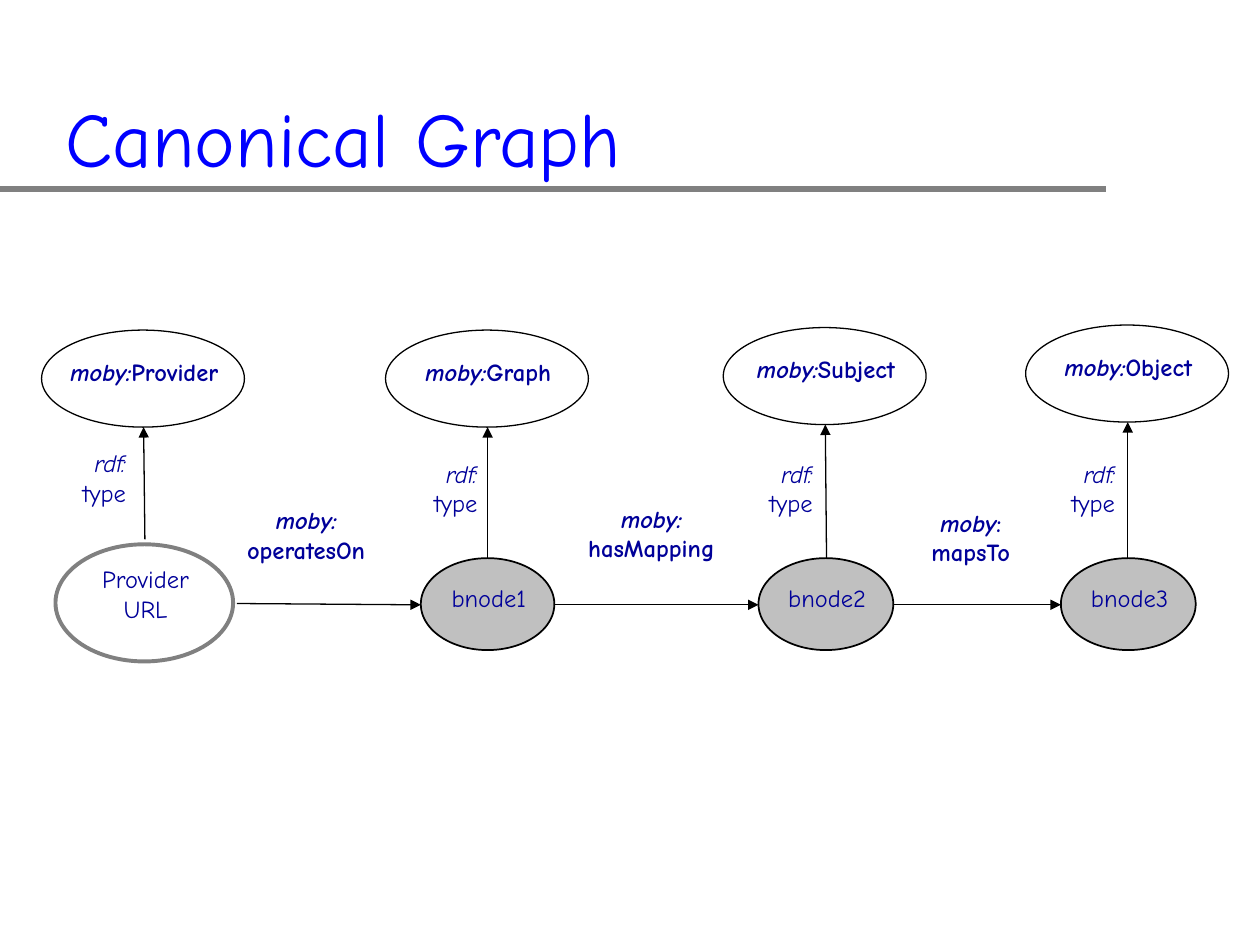
"""Build the Canonical Graph slide: four nodes, their RDF types and the links between them."""
from lxml.etree import SubElement
from pptx import Presentation
from pptx.dml.color import RGBColor
from pptx.enum.shapes import MSO_CONNECTOR, MSO_SHAPE
from pptx.enum.text import MSO_ANCHOR, PP_ALIGN
from pptx.oxml.ns import qn
from pptx.util import Inches, Pt

COLORS = {
    "title": "0000FF",
    "label": "000099",
    "rule": "808080",
    "ink": "000000",
    "blank": "C0C0C0",
    "paper": "FFFFFF",
}
RGB = {role: RGBColor.from_string(value) for role, value in COLORS.items()}

deck = Presentation()
deck.slide_width, deck.slide_height = Inches(10), Inches(7.5)
COL, ROW = deck.slide_width / 100, deck.slide_height / 75
slide = deck.slides.add_slide(deck.slide_layouts[6])


def write(text, left, top, width, height, size=14, color="label", bold=False,
          align=PP_ALIGN.CENTER, anchor=MSO_ANCHOR.TOP, inset=(0, 0)):
    """Add a text box; in each line the part before a bar is italic."""
    frame = slide.shapes.add_textbox(
        int(left * COL), int(top * ROW), int(width * COL), int(height * ROW)).text_frame
    frame.word_wrap = True
    frame.vertical_anchor = anchor
    frame.margin_left = frame.margin_right = int(inset[0] * COL)
    frame.margin_top = frame.margin_bottom = int(inset[1] * ROW)
    for index, line in enumerate(text.split("\n")):
        paragraph = frame.paragraphs[0] if index == 0 else frame.add_paragraph()
        paragraph.alignment = align
        slanted, _, upright = line.rpartition("|")
        for part, italic in ((slanted, True), (upright, False)):
            if part:
                run = paragraph.add_run()
                run.text = part
                run.font.name, run.font.size = "Comic Neue", Pt(size)
                run.font.bold, run.font.italic = bold, italic
                run.font.color.rgb = RGB[color]


def connect(x1, y1, x2, y2, color="ink", weight=0.75, arrow=True):
    """Add a straight line between two grid points."""
    link = slide.shapes.add_connector(
        MSO_CONNECTOR.STRAIGHT, int(x1 * COL), int(y1 * ROW), int(x2 * COL), int(y2 * ROW))
    link.line.color.rgb = RGB[color]
    link.line.width = Pt(weight)
    if arrow:
        SubElement(link.line._get_or_add_ln(), qn("a:tailEnd"), type="triangle")
    SubElement(link._element.spPr, qn("a:effectLst"))


connect(0, 15, 87.8, 15, color="rule", weight=4, arrow=False)
write("Canonical Graph", 4.2, 2.9, 85, 12.1, size=44, color="title",
      align=PP_ALIGN.LEFT, anchor=MSO_ANCHOR.BOTTOM, inset=(1, 0.5))

rdf_classes = [
    ("Provider", 3.3, 26.2),
    ("Graph", 30.6, 26.2),
    ("Subject", 57.4, 26),
    ("Object", 81.4, 25.8),
]
nodes = [
    ("Provider\nURL", 4.4, 43.2, 14.1, 9.3, "paper", "rule", 2.25, 1.6),
    ("bnode1", 33.4, 44.3, 10.6, 7.3, "blank", "ink", 1, 2),
    ("bnode2", 60.2, 44.3, 10.7, 7.3, "blank", "ink", 1, 2),
    ("bnode3", 84.2, 44.3, 10.7, 7.3, "blank", "ink", 1, 2),
]
ovals = [(f"moby:|{name}", left, top, 16.1, 7.7, "paper", "ink", 0.75, 2.1)
         for name, left, top in rdf_classes] + nodes
for text, left, top, width, height, fill, outline, weight, drop in ovals:
    oval = slide.shapes.add_shape(
        MSO_SHAPE.OVAL, int(left * COL), int(top * ROW), int(width * COL), int(height * ROW))
    oval.shadow.inherit = False
    oval.fill.solid()
    oval.fill.fore_color.rgb = RGB[fill]
    oval.line.color.rgb = RGB[outline]
    oval.line.width = Pt(weight)
    write(text, left + 1, top + drop, width - 1.8, height - drop, bold="|" in text)

type_links = [
    (11.5, 42.8, 11.4, 33.9, 5.7, 35.6),
    (38.7, 44.3, 38.7, 33.9, 33.6, 36.4),
    (65.6, 44.3, 65.5, 33.7, 60.2, 36.4),
    (89.5, 44.3, 89.5, 33.5, 84.2, 36.4),
]
for x1, y1, x2, y2, label_left, label_top in type_links:
    connect(x1, y1, x2, y2)
    write("rdf:|\ntype", label_left, label_top, 4.3, 7.3, align=PP_ALIGN.RIGHT)

predicates = [
    ("moby:|\noperatesOn", 18.8, 47.9, 33.4, 19.5, 40.1, 9.6),
    ("moby:|\nhasMapping", 44, 48, 60.2, 46, 40, 11.4),
    ("moby|:\nmapsTo", 70.9, 48, 84.2, 72.8, 40.3, 8.5),
]
for text, start, start_row, end, label_left, label_top, label_width in predicates:
    connect(start, start_row, end, 48)
    write(text, label_left, label_top, label_width, 6.8, bold=True)

deck.save("out.pptx")
